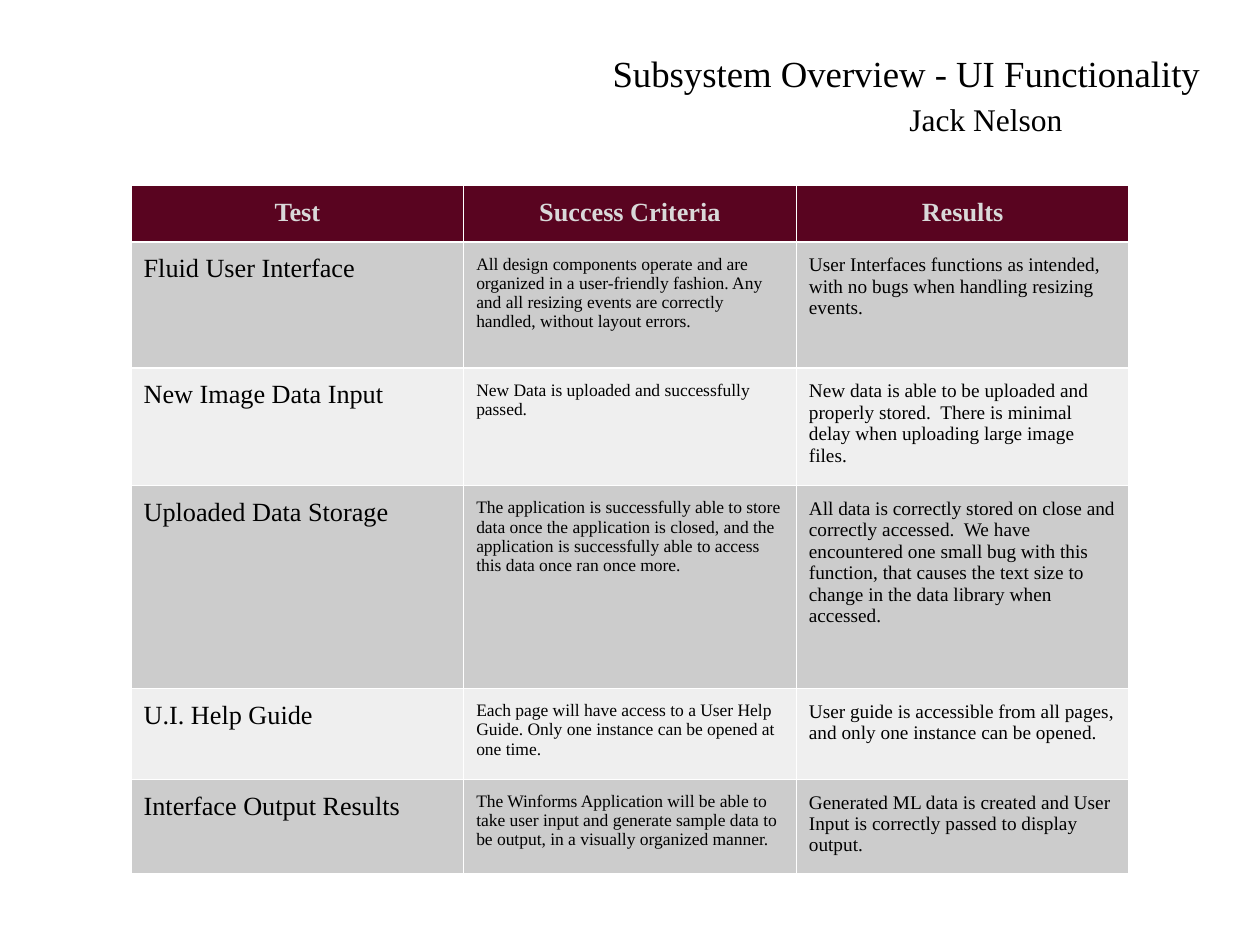
from lxml import etree
from pptx import Presentation
from pptx.dml.color import RGBColor
from pptx.enum.text import MSO_ANCHOR, PP_ALIGN
from pptx.oxml.ns import qn
from pptx.util import Inches, Pt

CENTER, LEFT = PP_ALIGN.CENTER, PP_ALIGN.LEFT
MIDDLE = MSO_ANCHOR.MIDDLE
FACE = "Times New Roman"
BLACK = RGBColor(0x00, 0x00, 0x00)
MAROON = RGBColor(0x59, 0x04, 0x20)
SILVER = RGBColor(0xD9, 0xD9, 0xD9)
BANDS = (RGBColor(0xCC, 0xCC, 0xCC), RGBColor(0xEF, 0xEF, 0xEF))
BORDER = "FFFFFF"
WIDTH = 2.64
HEIGHTS = (0.43, 1, 0.9, 1.61, 0.72, 0.72)
SIZES = (15, 10, 11)
HEADS = ("Test", "Success Criteria", "Results")
TESTS = (
    ("Fluid User Interface",
     "All design components operate and are organized in a user-friendly fashion. "
     "Any and all resizing events are correctly handled, without layout errors.",
     "User Interfaces functions as intended, with no bugs when handling resizing events."),
    ("New Image Data Input",
     "New Data is uploaded and successfully passed.",
     "New data is able to be uploaded and properly stored.  "
     "There is minimal delay when uploading large image files."),
    ("Uploaded Data Storage",
     "The application is successfully able to store data once the application is closed, "
     "and the application is successfully able to access this data once ran once more.",
     "All data is correctly stored on close and correctly accessed.  "
     "We have encountered one small bug with this function, "
     "that causes the text size to change in the data library when accessed."),
    ("U.I. Help Guide",
     "Each page will have access to a User Help Guide. "
     "Only one instance can be opened at one time.",
     "User guide is accessible from all pages, and only one instance can be opened."),
    ("Interface Output Results",
     "The Winforms Application will be able to take user input and generate sample data "
     "to be output, in a visually organized manner.",
     "Generated ML data is created and User Input is correctly passed to display output."),
)


def write(frame, text, size, color=BLACK, align=LEFT, bold=False):
    """Put one styled paragraph into a text frame."""
    para = frame.paragraphs[0]
    para.text = text
    para.alignment = align
    font = para.font
    font.name, font.size, font.bold = FACE, Pt(size), bold
    font.color.rgb = color


def add_title(slide, text, size, left, top, width, height):
    """Add a centred heading box."""
    box = slide.shapes.add_textbox(
        Inches(left), Inches(top), Inches(width), Inches(height))
    frame = box.text_frame
    frame.word_wrap = True
    frame.vertical_anchor = MIDDLE
    write(frame, text, size, align=CENTER)


def add_border(cell):
    """Draw thin lines on all four sides of a cell."""
    props = cell._tc.get_or_add_tcPr()
    for side in ("a:lnL", "a:lnR", "a:lnT", "a:lnB"):
        line = etree.SubElement(props, qn(side), w=str(Pt(0.75)))
        fill = etree.SubElement(line, qn("a:solidFill"))
        etree.SubElement(fill, qn("a:srgbClr"), val=BORDER)


def fill_cell(cell, fill, text, size, **style):
    """Set the borders, margins, fill and text of a cell."""
    add_border(cell)
    cell.margin_left = cell.margin_right = Inches(0.1)
    cell.margin_top = cell.margin_bottom = Inches(0.1)
    cell.fill.solid()
    cell.fill.fore_color.rgb = fill
    write(cell.text_frame, text, size, **style)


def add_tests(slide):
    """Add the table of tests, criteria and results."""
    table = slide.shapes.add_table(
        len(HEIGHTS), len(HEADS), Inches(1.04), Inches(1.47),
        Inches(WIDTH * len(HEADS)), Inches(sum(HEIGHTS))).table
    table.horz_banding = False
    for col in table.columns:
        col.width = Inches(WIDTH)
    for row, height in zip(table.rows, HEIGHTS):
        row.height = Inches(height)
    for col, head in enumerate(HEADS):
        fill_cell(table.cell(0, col), MAROON, head, 15,
                  color=SILVER, align=CENTER, bold=True)
    for row, test in enumerate(TESTS):
        for col, (text, size) in enumerate(zip(test, SIZES)):
            fill_cell(table.cell(row + 1, col), BANDS[row % 2], text, size)


def main():
    """Build and save the slide."""
    deck = Presentation()
    deck.slide_width, deck.slide_height = Inches(10), Inches(7.5)
    slide = deck.slides.add_slide(deck.slide_layouts[6])
    add_title(slide, "Subsystem Overview - UI Functionality", 21,
              4.56, 0.14, 5.27, 0.88)
    add_title(slide, "Jack Nelson", 18, 6.09, 0.68, 3.47, 0.52)
    add_tests(slide)
    deck.save("out.pptx")


if __name__ == "__main__":
    main()
